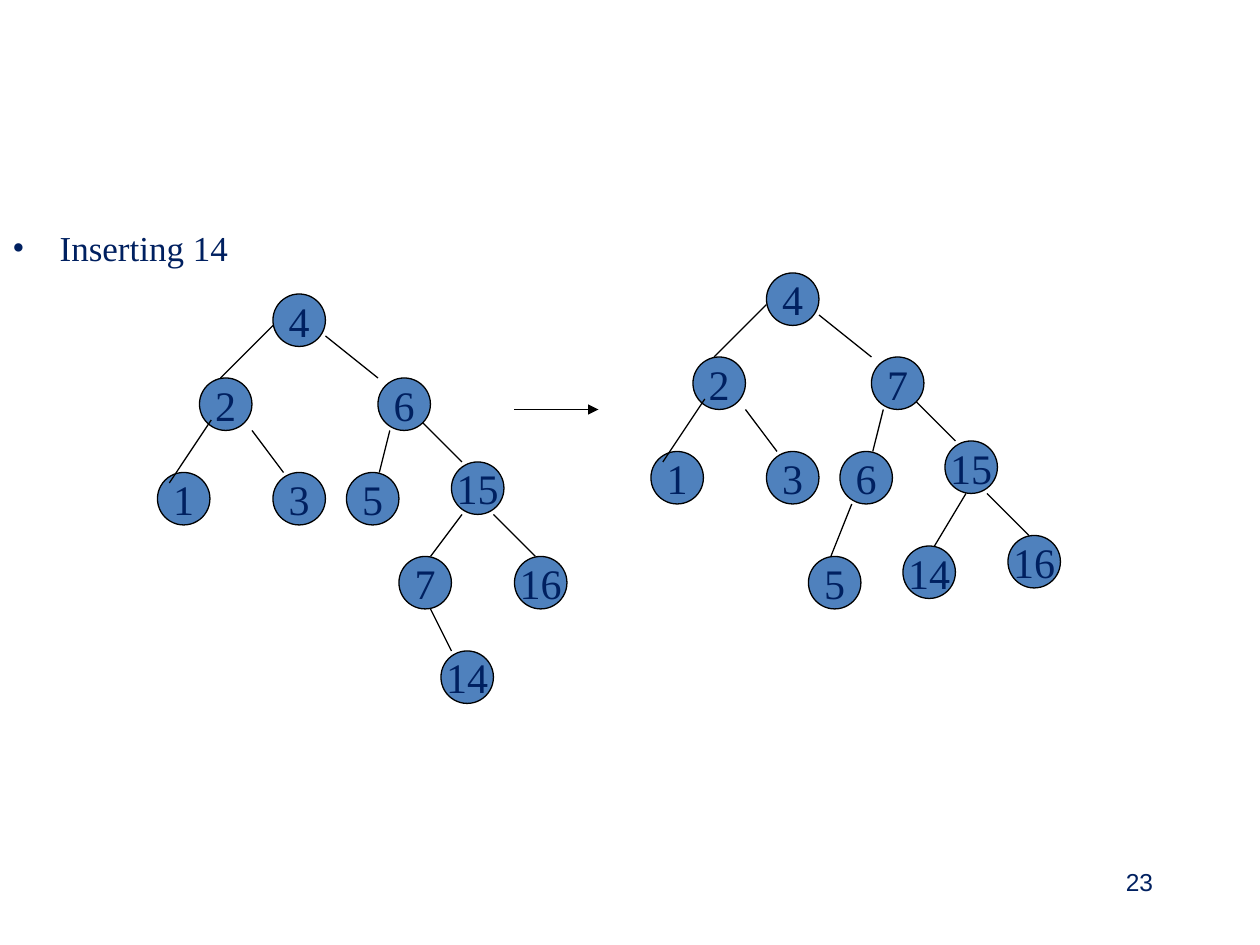
import pptx
import pptx.dml.color
import pptx.enum.shapes
import pptx.enum.text
import pptx.oxml.ns
import pptx.util
from lxml import etree

EMU_PER_PX = 9525  # 96 px to the inch
NODE_SIZE = 40

# Offsets are measured from the top left corner of the root node.
SHARED_POSITIONS = [(0, 0), (-56, 64), (80, 64), (-88, 136), (0, 136),
                    (56, 136), (136, 128), (184, 200)]
SHARED_EDGES = [((0, 24), (-40, 64)), ((40, 32), (80, 64)),
                ((-16, 104), (8, 136)), ((89, 104), (81, 136)),
                ((112, 96), (144, 128)), ((168, 168), (200, 200))]
EDGE_OVER_NODES = ((-47, 96), (-79, 144))

BEFORE_ROTATION = {
    "root": (208, 224),
    "shared_keys": [4, 2, 6, 1, 3, 5, 15, 16],
    "extra_nodes": [(7, (96, 200)), (14, (128, 272))],
    "extra_edges": [((144, 168), (120, 200)), ((120, 240), (136, 272))],
}
AFTER_ROTATION = {
    "root": (584, 208),
    "shared_keys": [4, 2, 7, 1, 3, 6, 15, 16],
    "extra_nodes": [(5, (32, 216)), (14, (104, 208))],
    "extra_edges": [((65, 176), (49, 216)), ((152, 168), (128, 208))],
}


def px(length):
    return pptx.util.Emu(length * EMU_PER_PX)


def color(hex_value):
    return pptx.dml.color.RGBColor.from_string(hex_value)


def add_xml(parent, tag, **attributes):
    return etree.SubElement(parent, pptx.oxml.ns.qn(tag), attributes)


class TreeSlide:
    ink = "002060"
    node_fill = "4F81BD"
    outline = "000000"
    outline_width = 0.75
    serif = "Times New Roman"
    sans = "Arial"

    def __init__(self, presentation):
        self.slide = presentation.slides.add_slide(presentation.slide_layouts[6])

    def style_text(self, paragraph, text, size, font, alignment):
        paragraph.text = text
        paragraph.alignment = alignment
        paragraph.font.size = pptx.util.Pt(size)
        paragraph.font.name = font
        paragraph.font.color.rgb = color(self.ink)

    def style_line(self, line):
        line.color.rgb = color(self.outline)
        line.width = pptx.util.Pt(self.outline_width)

    def text(self, left, top, width, height, text, size, font,
             alignment=pptx.enum.text.PP_ALIGN.LEFT, bullet_indent=0):
        box = self.slide.shapes.add_textbox(px(left), px(top), px(width), px(height))
        box.text_frame.word_wrap = True
        paragraph = box.text_frame.paragraphs[0]
        if bullet_indent:
            properties = paragraph._p.get_or_add_pPr()
            properties.set("marL", str(px(bullet_indent)))
            properties.set("indent", str(-px(bullet_indent)))
            bullet_color = add_xml(properties, "a:buClr")
            add_xml(bullet_color, "a:srgbClr", val=self.ink)
            add_xml(properties, "a:buFont", typeface=font)
            add_xml(properties, "a:buChar", char="•")
        self.style_text(paragraph, text, size, font, alignment)

    def node(self, left, top, key):
        circle = self.slide.shapes.add_shape(
            pptx.enum.shapes.MSO_SHAPE.OVAL,
            px(left), px(top), px(NODE_SIZE), px(NODE_SIZE))
        circle.shadow.inherit = False
        circle.fill.solid()
        circle.fill.fore_color.rgb = color(self.node_fill)
        self.style_line(circle.line)
        frame = circle.text_frame
        frame.word_wrap = False
        frame.vertical_anchor = pptx.enum.text.MSO_ANCHOR.MIDDLE
        self.style_text(frame.paragraphs[0], str(key), 24, self.serif,
                        pptx.enum.text.PP_ALIGN.CENTER)

    def line(self, start, end, origin=(0, 0), arrow=False):
        x, y = origin
        connector = self.slide.shapes.add_connector(
            pptx.enum.shapes.MSO_CONNECTOR.STRAIGHT,
            px(x + start[0]), px(y + start[1]), px(x + end[0]), px(y + end[1]))
        self.style_line(connector.line)
        if arrow:
            add_xml(connector.line._get_or_add_ln(), "a:tailEnd", type="triangle")
        add_xml(connector._element.spPr, "a:effectLst")

    def tree(self, root, shared_keys, extra_nodes, extra_edges):
        for start, end in SHARED_EDGES + extra_edges:
            self.line(start, end, root)
        for key, (x, y) in list(zip(shared_keys, SHARED_POSITIONS)) + extra_nodes:
            self.node(root[0] + x, root[1] + y, key)
        self.line(*EDGE_OVER_NODES, root)


def main():
    presentation = pptx.Presentation()
    presentation.slide_width = px(960)
    presentation.slide_height = px(720)

    page = TreeSlide(presentation)
    page.text(688, 656, 200, 48, "23", 14, page.sans,
              alignment=pptx.enum.text.PP_ALIGN.RIGHT)
    page.text(0, 168, 816, 456, "Inserting 14", 20, page.serif, bullet_indent=36)
    page.tree(**BEFORE_ROTATION)
    page.line((392, 312), (456, 312), arrow=True)
    page.tree(**AFTER_ROTATION)

    presentation.save("out.pptx")


if __name__ == "__main__":
    main()
